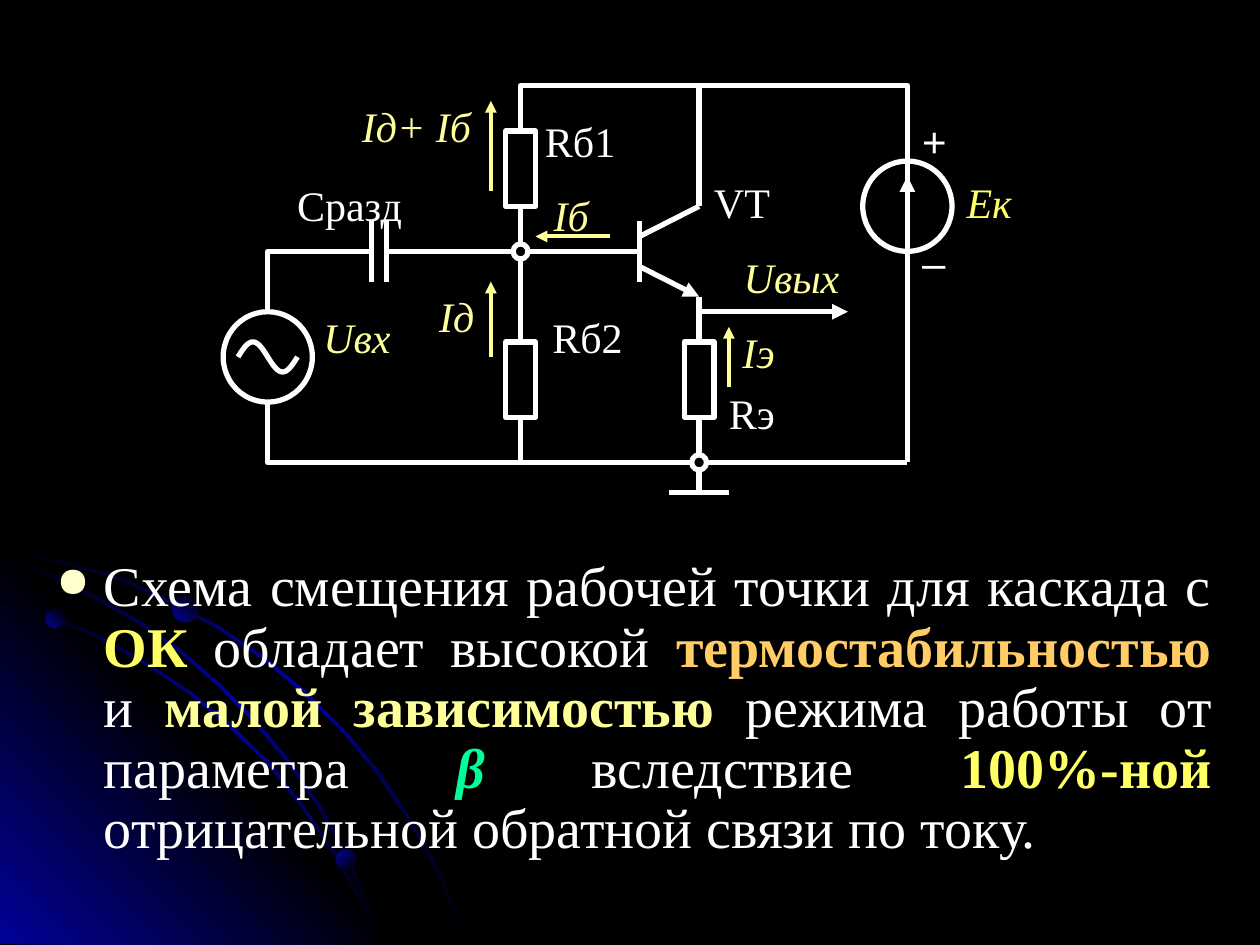
import math
from dataclasses import dataclass

from lxml import etree
from pptx import Presentation
from pptx import util as u
from pptx.dml.color import RGBColor
from pptx.enum import shapes, text
from pptx.oxml.ns import qn


@dataclass(frozen=True)
class Theme:
    white: str = "FFFFFF"
    black: str = "000000"
    blue: str = "010199"
    cream: str = "FFFFCC"
    pale: str = "FFFF99"
    yellow: str = "FFFF66"
    orange: str = "FFCC66"
    green: str = "00FF99"
    serif: str = "Times New Roman"
    sans: str = "Arial"
    body: float = 32
    label: float = 24
    wire: float = 3
    current: float = 2.25


THEME = Theme()
ORIGIN_X, ORIGIN_Y = 127.5, 49
STEP_X, STEP_Y = 8.5, 8.61

ARCS = [
    [(0, 313), (20, 317.5), (41, 322), (70.5, 330.5), (98, 343.5), (125.5, 358),
     (150.5, 375), (174, 394.5), (196, 416), (216, 440), (234, 466.5),
     (244, 484.5), (253.5, 502.5), (260.5, 520.5), (268, 539.5)],
    [(0, 342), (29.5, 351.5), (57, 363.5), (84, 378.5), (109.5, 395.5),
     (132.5, 414.5), (155, 436.5), (174, 461), (191.5, 486.5), (206, 512.5),
     (213, 525.5), (218, 539.5)],
    [(0, 318), (28, 327.5), (54.5, 340.5), (80, 355), (103.5, 371.5), (126, 391),
     (147, 412.5), (165, 434), (183, 460), (193.5, 479), (203, 499),
     (211.5, 518.5), (218, 539.5)],
]
CORNER = [(232, 539.5), (0, 539.5), (0, 307.5)]
BEADS = [(26, 348, 11, 135), (192, 485.5, 11.5, 225), (98.5, 340.5, 15, 135)]

SINE = [(1 + i / 8, 18 - math.sin(math.pi * i / 16)) for i in range(33)]
WIRES = [
    [(32, 27), (32, 25)], [(30, 27), (34, 27)],
    SINE,
    [(10, 9), (10, 13)], [(11, 9), (11, 13)], [(11, 11), (28, 11)],
    [(3, 21), (3, 25), (46, 25)], [(3, 15), (3, 11), (10, 11)],
    [(20, 8), (20, 17)], [(20, 22), (20, 25)],
    [(28, 9), (28, 13)], [(28, 10), (32, 8)], [(32, 0), (32, 8)],
    [(32, 14), (32, 17)], [(32, 22), (32, 25)],
    [(20, 3), (20, 0), (46, 0), (46, 25)],
]
SIGNAL_ARROWS = [[(46, 11), (46, 6)], [(28, 12), (32, 14)], [(32, 15), (42, 15)]]
CURRENT_ARROWS = [[(18, 18), (18, 13)], [(26, 10), (21, 10)],
                  [(18, 7), (18, 1)], [(34, 20), (34, 16)]]
RESISTORS = [(19, 3), (19, 17), (31, 17)]
SOURCES = [(0, 15), (43, 5)]
NODES = [(20, 11), (32, 25)]

PLAIN = dict(color=THEME.white)
ITALIC = dict(color=THEME.pale, italic=True)
SIGN = dict(color=THEME.white, font=THEME.sans)
CENTER, LEFT = text.PP_ALIGN.CENTER, text.PP_ALIGN.LEFT
LABELS = [
    ("Сразд", 4, 6.25, 9, CENTER, PLAIN),
    ("Eк", 49, 6, 5, CENTER, dict(color=THEME.yellow, italic=True)),
    ("+", 47, 2, 4, LEFT, SIGN),
    ("–", 47, 10, 4, LEFT, SIGN),
    ("Uвх", 6, 15, 6, CENTER, ITALIC),
    ("Rб1", 21, 2, 6, CENTER, PLAIN),
    ("Rб2", 21, 15, 7, CENTER, PLAIN),
    ("VT", 33, 6, 5, LEFT, PLAIN),
    ("Iд+ Iб", 8, 1, 10, CENTER, ITALIC),
    ("Iб", 21.4, 6.9, 4, CENTER, ITALIC),
    ("Iд", 13.7, 13.6, 4, CENTER, ITALIC),
    ("Rэ", 34, 20, 4, LEFT, PLAIN),
    ("Iэ", 34, 16, 4, CENTER, ITALIC),
    ("Uвых", 35, 11, 8, LEFT, ITALIC),
]
BODY = [
    ("Схема смещения рабочей точки для каскада с ", PLAIN),
    ("ОК", dict(color=THEME.yellow, bold=True)),
    (" обладает высокой ", PLAIN),
    ("термостабильностью", dict(color=THEME.orange, bold=True)),
    (" и ", PLAIN),
    ("малой зависимостью", dict(color=THEME.pale, bold=True)),
    (" режима работы от параметра ", PLAIN),
    ("β", dict(color=THEME.green, bold=True, italic=True)),
    (" вследствие ", PLAIN),
    ("100%-ной", dict(color=THEME.yellow, bold=True)),
    (" отрицательной обратной связи по току.", PLAIN),
]


def grid(x, y):
    return u.Pt(ORIGIN_X + x * STEP_X), u.Pt(ORIGIN_Y + y * STEP_Y)


def span(width, height):
    return u.Pt(width * STEP_X), u.Pt(height * STEP_Y)


def add_child(parent, tag, **attributes):
    return etree.SubElement(parent, qn(tag), attributes)


def add_run(paragraph, content, *, color, size=THEME.label, font=THEME.serif,
            bold=False, italic=False):
    run = paragraph.add_run()
    run.text = content
    run.font.size, run.font.name = u.Pt(size), font
    run.font.bold, run.font.italic = bold, italic
    run.font.color.rgb = RGBColor.from_string(color)


def set_line(shape, color, width):
    shape.line.color.rgb = RGBColor.from_string(color)
    shape.line.width = u.Pt(width)


def set_gradient(shape, colors, angle):
    shape.shadow.inherit = False
    shape.line.fill.background()
    gradient = etree.Element(qn("a:gradFill"), rotWithShape="1")
    stops = add_child(gradient, "a:gsLst")
    for index, color in enumerate(colors):
        position = round(100000 * index / (len(colors) - 1))
        add_child(add_child(stops, "a:gs", pos=str(position)), "a:srgbClr", val=color)
    add_child(gradient, "a:lin", ang=str(angle * 60000), scaled="1")
    shape.fill.background()
    properties = shape.element.spPr
    properties.replace(properties.find(qn("a:noFill")), gradient)


def add_outline(slide, points, close):
    builder = slide.shapes.build_freeform(*points[0])
    builder.add_line_segments(points[1:], close=close)
    return builder.convert_to_shape()


def add_wire(slide, points, color=THEME.white, width=THEME.wire, arrow=False):
    places = [grid(*point) for point in points]
    if len(places) > 2:
        wire = add_outline(slide, places, False)
        wire.fill.background()
        wire.shadow.inherit = False
    else:
        wire = slide.shapes.add_connector(
            shapes.MSO_CONNECTOR.STRAIGHT, *places[0], *places[1])
    set_line(wire, color, width)
    if arrow:
        add_child(wire.line._get_or_add_ln(), "a:tailEnd", type="triangle")
    if len(places) == 2:
        add_child(wire.element.spPr, "a:effectLst")


def add_part(slide, kind, x, y, width, height, fill=None):
    part = slide.shapes.add_shape(kind, *grid(x, y), *span(width, height))
    part.shadow.inherit = False
    set_line(part, THEME.white, THEME.wire)
    if fill:
        part.fill.solid()
        part.fill.fore_color.rgb = RGBColor.from_string(fill)
    else:
        part.fill.background()


def add_label(slide, content, x, y, width, alignment, style):
    frame = slide.shapes.add_textbox(*grid(x, y), *span(width, 4)).text_frame
    frame.word_wrap = True
    frame.margin_left = frame.margin_right = frame.margin_top = frame.margin_bottom = 0
    frame.paragraphs[0].alignment = alignment
    add_run(frame.paragraphs[0], content, **style)


def add_backdrop(slide):
    band = (THEME.black, THEME.blue, THEME.black)
    outlines = [(arc + [(max(0, x - 1.2), min(539.5, y + 1.2)) for x, y in reversed(arc)],
                 band, 225) for arc in ARCS]
    outlines.insert(1, (CORNER, (THEME.blue, THEME.black, THEME.blue), 135))
    for points, colors, angle in outlines:
        places = [(u.Pt(x), u.Pt(y)) for x, y in points]
        set_gradient(add_outline(slide, places, True), colors, angle)
    for left, top, size, angle in BEADS:
        bead = slide.shapes.add_shape(
            shapes.MSO_SHAPE.OVAL, u.Pt(left), u.Pt(top), u.Pt(size), u.Pt(size))
        set_gradient(bead, (THEME.black, THEME.blue), angle)


def add_body(slide):
    frame = slide.shapes.add_textbox(u.Pt(25.2), u.Pt(315.4), u.Pt(674.6), u.Pt(187.2)).text_frame
    frame.word_wrap = True
    paragraph = frame.paragraphs[0]
    paragraph.alignment = text.PP_ALIGN.JUSTIFY
    paragraph.line_spacing = 0.9
    properties = paragraph._p.get_or_add_pPr()
    properties.set("marL", str(u.Pt(27)))
    properties.set("indent", str(u.Pt(-27)))
    add_child(add_child(properties, "a:buClr"), "a:srgbClr", val=THEME.cream)
    add_child(properties, "a:buSzPct", val="75000")
    add_child(properties, "a:buChar", char="●")
    for content, style in BODY:
        add_run(paragraph, content, size=THEME.body, **style)


def main():
    presentation = Presentation()
    presentation.slide_width, presentation.slide_height = u.Pt(720), u.Pt(540)
    slide = presentation.slides.add_slide(presentation.slide_layouts[6])
    slide.background.fill.solid()
    slide.background.fill.fore_color.rgb = RGBColor.from_string(THEME.black)
    add_backdrop(slide)
    add_body(slide)
    for points in WIRES:
        add_wire(slide, points)
    for points in SIGNAL_ARROWS:
        add_wire(slide, points, arrow=True)
    for points in CURRENT_ARROWS:
        add_wire(slide, points, THEME.pale, THEME.current, arrow=True)
    for x, y in RESISTORS:
        add_part(slide, shapes.MSO_SHAPE.RECTANGLE, x, y, 2, 5)
    for x, y in SOURCES:
        add_part(slide, shapes.MSO_SHAPE.OVAL, x, y, 6, 6)
    for x, y in NODES:
        add_part(slide, shapes.MSO_SHAPE.OVAL, x - 0.5, y - 0.5, 1, 1, THEME.black)
    for label in LABELS:
        add_label(slide, *label)
    presentation.save("out.pptx")


if __name__ == "__main__":
    main()
